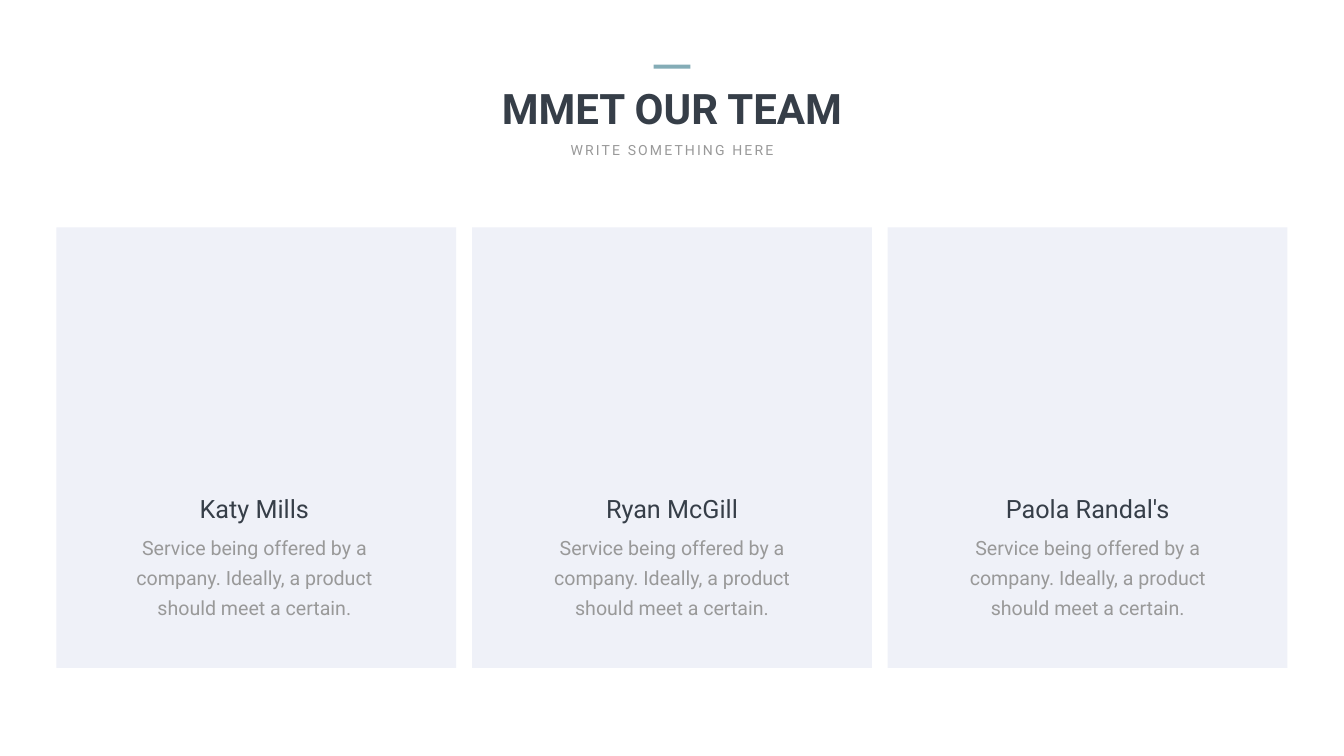
"""Build the team slide with three member cards."""
from dataclasses import dataclass

from pptx import Presentation
from pptx import util as u
from pptx.dml.color import RGBColor
from pptx.enum import shapes, text

WIDTH, HEIGHT = 26.66, 15
MARGIN, CARD_TOP = 1.12, 4.51
CARD_WIDTH, CARD_HEIGHT = 7.93, 8.74
COLUMN_STEP = (WIDTH - 2 * MARGIN - CARD_WIDTH) / 2
NAME_TOP, ROLE_TOP = 9.74, 10.45
DARK, GREY, ACCENT, PALE = "363E48", "999999", "84ACB6", "EFF1F8"
SERVICE = "Service being offered by a company. Ideally, a product should meet a certain."


@dataclass(frozen=True)
class Box:
    """Hold a rectangle in inches, placed by its horizontal centre."""
    center: float
    top: float
    width: float
    height: float

    def place(self) -> tuple:
        """Return left, top, width and height as lengths."""
        left = self.center - self.width / 2
        return tuple(u.Inches(v) for v in (left, self.top, self.width, self.height))


@dataclass(frozen=True)
class Style:
    """Hold the look of one kind of text."""
    size: float
    color: str
    bold: bool = False
    leading: float = 0
    tracking: float = 0
    wrap: bool = True


@dataclass(frozen=True)
class Member:
    """Hold one team member and the offset of the text from the card centre."""
    name: str
    name_width: float
    service_width: float
    shift: float = 0


TITLE = Style(60, DARK, bold=True)
SUBTITLE = Style(20, GREY, tracking=3, wrap=False)
NAME = Style(36, DARK)
BODY = Style(28, GREY, leading=43)
TEAM = (
    Member("Katy Mills", 3.59, 5.39, -0.04),
    Member("Ryan McGill", 4.26, 5.28),
    Member("Paola Randal's", 4.99, 5.41),
)


def rgb(value: str) -> RGBColor:
    """Turn a hex string into a colour."""
    return RGBColor.from_string(value)


def write(holder, wording: str, style: Style) -> None:
    """Put centred, styled wording into a shape."""
    frame = holder.text_frame
    frame.text = wording
    frame.word_wrap = style.wrap
    frame.auto_size = text.MSO_AUTO_SIZE.SHAPE_TO_FIT_TEXT
    frame.vertical_anchor = text.MSO_ANCHOR.TOP
    paragraph = frame.paragraphs[0]
    paragraph.alignment = text.PP_ALIGN.CENTER
    if style.leading:
        paragraph.line_spacing = u.Pt(style.leading)
    run = paragraph.runs[0]
    run.font.name = "Roboto"
    run.font.size = u.Pt(style.size)
    run.font.bold = style.bold
    run.font.color.rgb = rgb(style.color)
    if style.tracking:
        run.font._element.set("spc", str(round(style.tracking * 100)))


def add_text(slide, box: Box, wording: str, style: Style) -> None:
    """Add a text box."""
    write(slide.shapes.add_textbox(*box.place()), wording, style)


def add_block(slide, box: Box, color: str) -> None:
    """Add a plain filled rectangle."""
    block = slide.shapes.add_shape(shapes.MSO_SHAPE.RECTANGLE, *box.place())
    block.shadow.inherit = False
    block.fill.solid()
    block.fill.fore_color.rgb = rgb(color)
    block.line.fill.background()


def add_header(slide) -> None:
    """Add the title, subtitle and accent bar."""
    middle = WIDTH / 2
    title = slide.shapes.title
    title.left, title.top, title.width, title.height = Box(middle, 1.59, 10.31, 1.11).place()
    write(title, "MMET OUR TEAM", TITLE)
    add_text(slide, Box(middle, 2.75, 4.35, 0.44), "WRITE SOMETHING HERE", SUBTITLE)
    add_block(slide, Box(middle, 1.28, 0.73, 0.08), ACCENT)


def add_member(slide, column: int, member: Member) -> None:
    """Add one member's card in the given column."""
    center = MARGIN + CARD_WIDTH / 2 + column * COLUMN_STEP
    add_block(slide, Box(center, CARD_TOP, CARD_WIDTH, CARD_HEIGHT), PALE)
    center += member.shift
    add_text(slide, Box(center, ROLE_TOP, member.service_width, 1.84), SERVICE, BODY)
    add_text(slide, Box(center, NAME_TOP, member.name_width, 0.71), member.name, NAME)


def main() -> None:
    """Build and save the slide."""
    deck = Presentation()
    deck.slide_width, deck.slide_height = u.Inches(WIDTH), u.Inches(HEIGHT)
    slide = deck.slides.add_slide(deck.slide_layouts.get_by_name("Title Only"))
    add_header(slide)
    for column, member in enumerate(TEAM):
        add_member(slide, column, member)
    deck.save("out.pptx")


if __name__ == "__main__":
    main()
